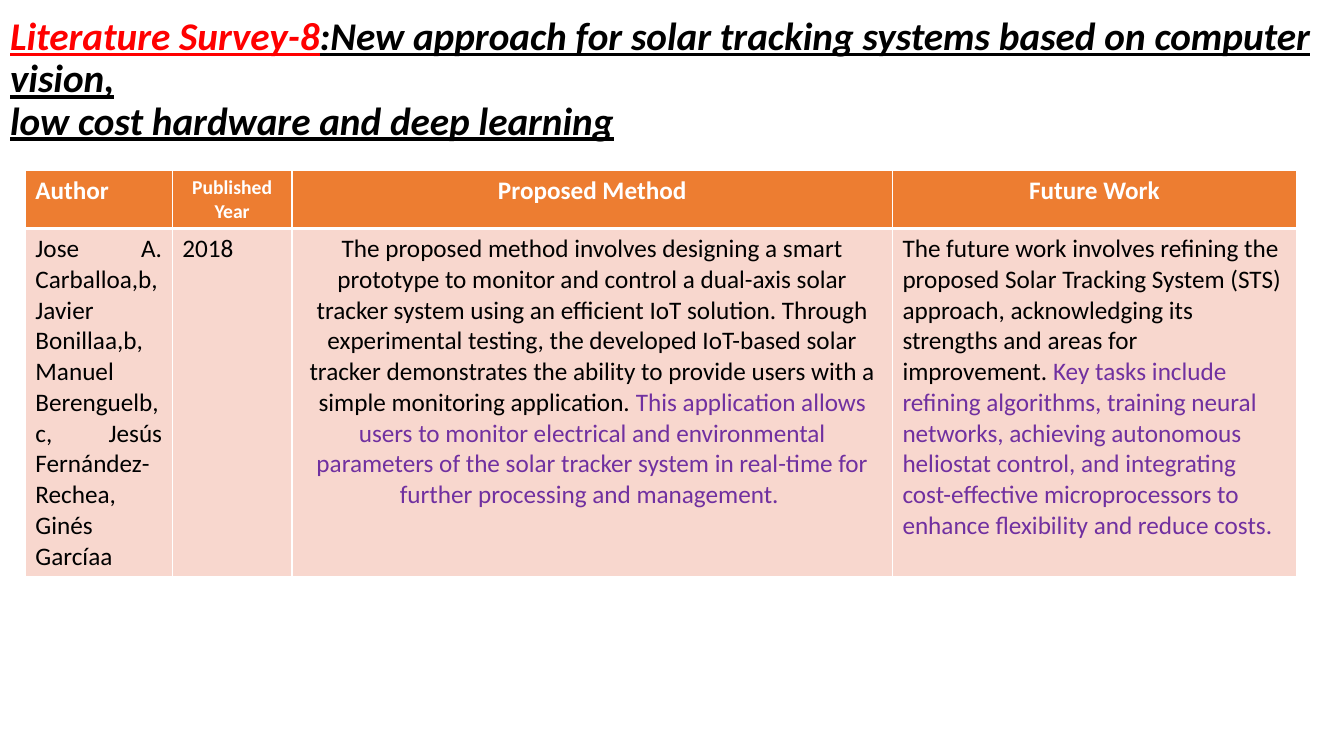
from lxml import etree
from pptx import Presentation
from pptx.dml.color import RGBColor
from pptx.enum.text import MSO_ANCHOR, MSO_AUTO_SIZE, PP_ALIGN
from pptx.oxml.ns import qn
from pptx.util import Cm, Pt

LEFT, CENTER, JUSTIFY = PP_ALIGN.LEFT, PP_ALIGN.CENTER, PP_ALIGN.JUSTIFY
BLACK = RGBColor(0x00, 0x00, 0x00)
WHITE = RGBColor(0xFF, 0xFF, 0xFF)
RED = RGBColor(0xFF, 0x00, 0x00)
PURPLE = RGBColor(0x70, 0x30, 0xA0)
ORANGE = RGBColor(0xED, 0x7D, 0x31)
PINK = RGBColor(0xF8, 0xD7, 0xCE)


def add_run(p, text, color, **formats):
    r = p.add_run()
    r.text = text
    r.font.color.rgb = color
    for name, value in {"name": "Calibri", **formats}.items():
        setattr(r.font, name, value)


def add_borders(cell, widths):
    tcPr = cell._tc.get_or_add_tcPr()
    for i, (side, width) in enumerate(widths.items()):
        ln = etree.Element(qn(f"a:ln{side}"), w=str(Pt(width)))
        fill = etree.SubElement(ln, qn("a:solidFill"))
        etree.SubElement(fill, qn("a:srgbClr"), val=str(WHITE))
        tcPr.insert(i, ln)


prs = Presentation()
prs.slide_width, prs.slide_height = Cm(33.87), Cm(19.05)
s = prs.slides.add_slide(prs.slide_layouts[5])

# Title
title = s.shapes.title
title.left, title.top, title.width, title.height = Cm(0), Cm(0.18), Cm(34.8), Cm(3.68)
tf = title.text_frame
tf.word_wrap = True
tf.auto_size = MSO_AUTO_SIZE.NONE
tf.vertical_anchor = MSO_ANCHOR.MIDDLE
p = tf.paragraphs[0]
p.alignment = LEFT
p.line_spacing = 0.9
title_format = {"size": Pt(28), "bold": True, "italic": True, "underline": True}
add_run(p, "Literature Survey-8", RED, **title_format)
add_run(p, ":New approach for solar tracking systems based on computer vision,",
        BLACK, **title_format)
p.add_line_break()
add_run(p, "low cost hardware and deep learning", BLACK, **title_format)

# Table content: alignment, size and coloured runs of each cell
header = [
    (JUSTIFY, 18, [("Author", WHITE)]),
    (CENTER, 14, [("Published Year", WHITE)]),
    (CENTER, 18, [("Proposed Method", WHITE)]),
    (CENTER, 18, [("Future Work", WHITE)]),
]
survey = [
    (JUSTIFY, 18, [
        ("Jose A. Carballoa,b, Javier Bonillaa,b, Manuel Berenguelb,c, "
         "Jesús Fernández-Rechea, Ginés Garcíaa", BLACK)]),
    (JUSTIFY, 18, [("2018", BLACK)]),
    (CENTER, 18, [
        ("The proposed method involves designing a smart prototype to monitor and "
         "control a dual-axis solar tracker system using an efficient IoT solution. "
         "Through experimental testing, the developed IoT-based solar tracker "
         "demonstrates the ability to provide users with a simple monitoring "
         "application. ", BLACK),
        ("This application allows users to monitor electrical and environmental "
         "parameters of the solar tracker system in real-time for further "
         "processing and management. ", PURPLE)]),
    (LEFT, 18, [
        ("The future work involves refining the proposed Solar Tracking System (STS) "
         "approach, acknowledging its strengths and areas for improvement. ", BLACK),
        ("Key tasks include refining algorithms, training neural networks, achieving "
         "autonomous heliostat control, and integrating cost-effective "
         "microprocessors to enhance flexibility and reduce costs.", PURPLE)]),
]

# Table
table = s.shapes.add_table(2, 4, Cm(0.64), Cm(4.3), Cm(32.03), Cm(10.16)).table
for column, width in zip(table.columns, (3.7, 3.02, 15.13, 10.18)):
    column.width = Cm(width)
for row, height in zip(table.rows, (1.46, 8.7)):
    row.height = Cm(height)

for i, (cells, fill) in enumerate([(header, ORANGE), (survey, PINK)]):
    is_header = i == 0
    for j, (alignment, size, runs) in enumerate(cells):
        cell = table.cell(i, j)
        cell.fill.solid()
        cell.fill.fore_color.rgb = fill
        add_borders(cell, {"L": 1, "R": 1, "T": 1 if is_header else 3,
                           "B": 3 if is_header else 1})
        p = cell.text_frame.paragraphs[0]
        p.alignment = alignment
        for text, color in runs:
            add_run(p, text, color, size=Pt(size), bold=is_header)

prs.save("out.pptx")
